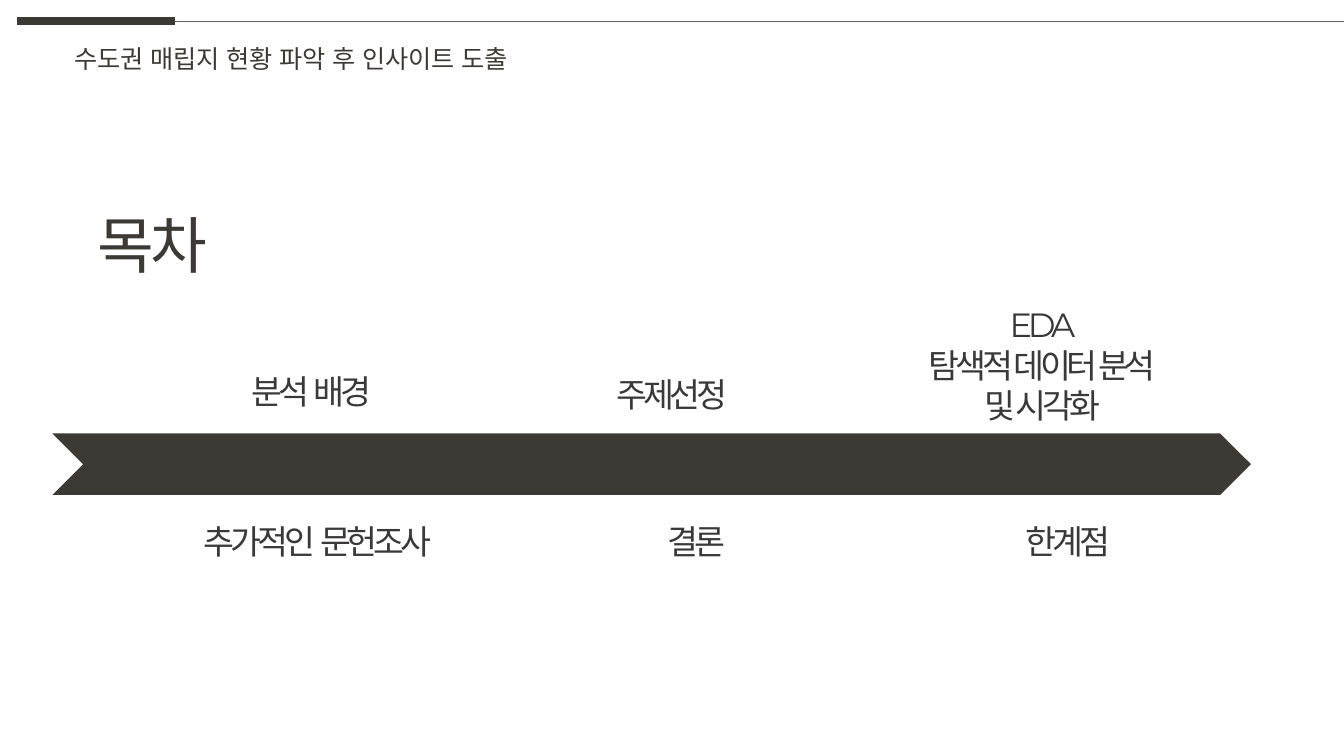
from dataclasses import dataclass

import pptx
import pptx.dml.color
import pptx.enum.shapes
import pptx.enum.text
import pptx.oxml.ns
import pptx.util
from lxml import etree

RGBColor = pptx.dml.color.RGBColor
DARK = RGBColor(0x3D, 0x3A, 0x35)
TEXT = RGBColor(0x3A, 0x38, 0x38)
GRAY = RGBColor(0x5F, 0x5F, 0x5D)
FONT = "Montserrat"
WIDE, HIGH = pptx.util.Inches(13.33), pptx.util.Inches(7.5)
COLS, ROWS = 40, 30
ALIGN = pptx.enum.text.PP_ALIGN
UPPER, LOWER = 14.52, 20.48


@dataclass
class Label:
    text: str
    mid: float
    top: float
    width: float
    height: float = 2


@dataclass
class Rule:
    start: float
    end: float
    color: RGBColor
    weight: float


LABELS = [
    Label("분석  배경", 9.27, UPPER, 4.44),
    Label("주제선정", 20, 14.64, 4.14),
    Label("EDA\n탐색적 데이터 분석\n및 시각화", 31.02, 11.88, 7.98, 5.24),
    Label("추가적인  문헌조사", 9.45, LOWER, 7.98),
    Label("결론", 20.72, LOWER, 2.37),
    Label("한계점", 31.79, LOWER, 3.27),
]
RULES = [Rule(0.5, 5.22, DARK, 6), Rule(5.22, COLS, GRAY, 0.5)]


def col(count: float) -> int:
    return round(WIDE * count / COLS)


def row(count: float) -> int:
    return round(HIGH * count / ROWS)


def area(left: float, top: float, width: float, height: float) -> tuple[int, int, int, int]:
    return col(left), row(top), col(width), row(height)


def write(shape, text: str, size: float, color: RGBColor, align: ALIGN, gap: int = 0) -> None:
    frame = shape.text_frame
    frame.text = text
    frame.word_wrap = False
    frame.auto_size = pptx.enum.text.MSO_AUTO_SIZE.SHAPE_TO_FIT_TEXT
    frame.vertical_anchor = pptx.enum.text.MSO_ANCHOR.TOP
    for para in frame.paragraphs:
        para.alignment = align
        for run in para.runs:
            font = run.font
            font.name, font.size = FONT, pptx.util.Pt(size)
            font.color.rgb = color
            props = run._r.get_or_add_rPr()
            etree.SubElement(props, pptx.oxml.ns.qn("a:ea"), typeface=FONT)
            if gap:
                props.set("spc", str(gap * 100))


def draw_rule(slide, rule: Rule) -> None:
    kind = pptx.enum.shapes.MSO_CONNECTOR.STRAIGHT
    line = slide.shapes.add_connector(kind, col(rule.start), row(0.84), col(rule.end), row(0.84))
    line.line.color.rgb = rule.color
    line.line.width = pptx.util.Pt(rule.weight)
    etree.SubElement(line._element.spPr, pptx.oxml.ns.qn("a:effectLst"))


def draw_label(slide, label: Label) -> None:
    left = label.mid - label.width / 2
    box = slide.shapes.add_textbox(*area(left, label.top, label.width, label.height))
    write(box, label.text, 24, TEXT, ALIGN.CENTER, -3)


def draw_arrow(slide) -> None:
    kind = pptx.enum.shapes.MSO_SHAPE.CHEVRON
    arrow = slide.shapes.add_shape(kind, *area(1.56, 17.2, 35.67, 1.83 / 0.75))
    arrow.shadow.inherit = False
    arrow.fill.solid()
    arrow.fill.fore_color.rgb = DARK
    arrow.line.fill.background()


def main() -> None:
    deck = pptx.Presentation()
    deck.slide_width, deck.slide_height = WIDE, HIGH
    slide = deck.slides.add_slide(deck.slide_layouts[5])
    title = slide.shapes.title
    title.left, title.top, title.width, title.height = area(2.6, 8, 4.05, 3.36)
    write(title, "목차", 44, DARK, ALIGN.LEFT, -3)
    topic = slide.shapes.add_textbox(*area(1.92, 1.52, 14.73, 1.6))
    write(topic, "수도권 매립지 현황 파악 후 인사이트 도출", 18, DARK, ALIGN.LEFT)
    for rule in RULES:
        draw_rule(slide, rule)
    draw_arrow(slide)
    for label in LABELS:
        draw_label(slide, label)
    deck.save("out.pptx")


if __name__ == "__main__":
    main()
